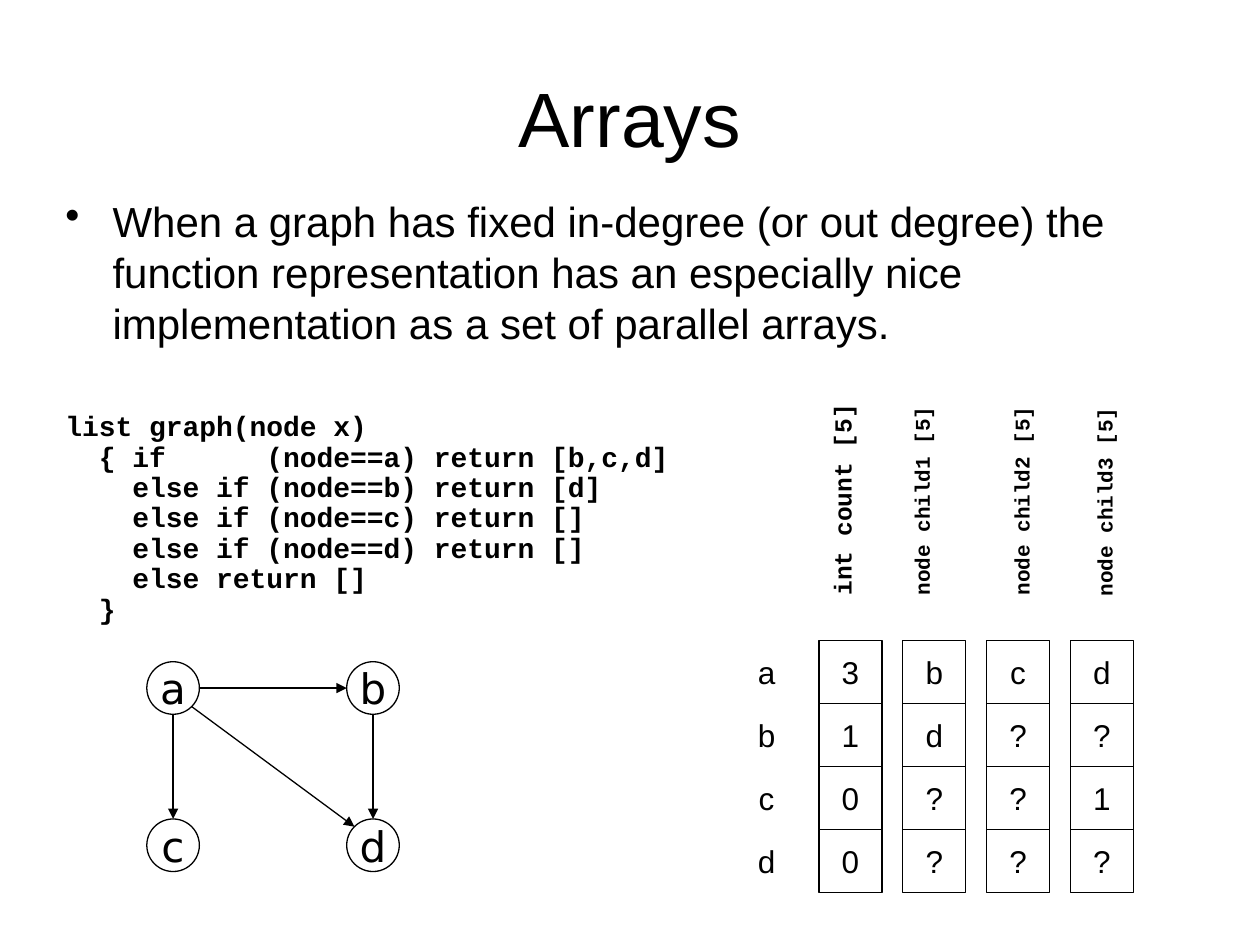
from math import hypot

from lxml import etree
from pptx import Presentation
from pptx.dml.color import RGBColor
from pptx.enum.shapes import MSO_CONNECTOR, MSO_SHAPE
from pptx.enum.text import MSO_ANCHOR, PP_ALIGN
from pptx.oxml.ns import qn
from pptx.util import Cm, Pt

CENTER, LEFT = PP_ALIGN.CENTER, PP_ALIGN.LEFT
MIDDLE, TOP = MSO_ANCHOR.MIDDLE, MSO_ANCHOR.TOP
OVAL, RECTANGLE = MSO_SHAPE.OVAL, MSO_SHAPE.RECTANGLE
STRAIGHT = MSO_CONNECTOR.STRAIGHT

BLACK, WHITE = "000000", "FFFFFF"
SANS, MONO, NODE_FONT = "Arial", "Courier New", "DejaVu Sans"

TITLE = "Arrays"
STATEMENT = (
    "When a graph has fixed in-degree (or out degree) the function representation "
    "has an especially nice implementation as a set of parallel arrays."
)
CODE = """list graph(node x)
  { if      (node==a) return [b,c,d]
    else if (node==b) return [d]
    else if (node==c) return []
    else if (node==d) return []
    else return []
  }"""

# Node name: (column, row) in the drawn graph
NODES = {"a": (0, 0), "b": (1, 0), "c": (0, 1), "d": (1, 1)}
EDGES = [("a", "d"), ("a", "b"), ("a", "c"), ("b", "d")]
NODE_LEFT, NODE_TOP, NODE_SIZE = 2.96, 13.34, 1.06
NODE_STEP_X, NODE_STEP_Y = 4.03, 3.17

# First column names the rows, the others are the parallel arrays
COLUMNS = ["abcd", "3100", "bd??", "c???", "d?1?"]
GRID_LEFT, GRID_TOP, CELL, COLUMN_STEP = 14.82, 12.91, 1.27, 1.69

# Text, centre x, centre y, length, height, font size
ARRAY_NAMES = [
    ("int count [5]", 16.98, 9.73, 5.05, 0.86, 14),
    ("node child1 [5]", 18.58, 9.93, 4.65, 0.76, 12),
    ("node child2 [5]", 20.59, 9.93, 4.65, 0.76, 12),
    ("node child3 [5]", 22.26, 9.95, 4.65, 0.76, 12),
]


def color(value):
    return RGBColor.from_string(value)


def write(shape, text, font, size, align=LEFT, anchor=TOP, bold=False, wrap=True):
    frame = shape.text_frame
    frame.text = text
    frame.word_wrap = wrap
    frame.vertical_anchor = anchor
    for paragraph in frame.paragraphs:
        paragraph.alignment = align
        for span in paragraph.runs:
            span.font.name, span.font.size = font, Pt(size)
            span.font.bold = bold
            span.font.color.rgb = color(BLACK)
    return frame.paragraphs


def add_box(page, left, top, width, height):
    return page.shapes.add_textbox(Cm(left), Cm(top), Cm(width), Cm(height))


def add_outlined(page, kind, left, top, size, fill=None):
    shape = page.shapes.add_shape(kind, Cm(left), Cm(top), Cm(size), Cm(size))
    shape.shadow.inherit = False
    if fill:
        shape.fill.solid()
        shape.fill.fore_color.rgb = color(fill)
    else:
        shape.fill.background()
    shape.line.color.rgb = color(BLACK)
    shape.line.width = Pt(0.75)
    return shape


def node_center(name):
    column, row = NODES[name]
    return (NODE_LEFT + column * NODE_STEP_X + NODE_SIZE / 2,
            NODE_TOP + row * NODE_STEP_Y + NODE_SIZE / 2)


def add_edge(page, source, target):
    """Draw an arrow between node rims, leaving at a multiple of 45 degrees."""
    (x1, y1), (x2, y2) = node_center(source), node_center(target)
    step_x, step_y = (x2 > x1) - (x2 < x1), (y2 > y1) - (y2 < y1)
    reach = NODE_SIZE / 2 / hypot(step_x, step_y)
    dx, dy = step_x * reach, step_y * reach
    arrow = page.shapes.add_connector(
        STRAIGHT, Cm(x1 + dx), Cm(y1 + dy), Cm(x2 - dx), Cm(y2 - dy))
    arrow.line.color.rgb = color(BLACK)
    arrow.line.width = Pt(0.75)
    etree.SubElement(arrow.line._get_or_add_ln(), qn("a:tailEnd"), type="triangle")
    etree.SubElement(arrow._element.spPr, qn("a:effectLst"))


def add_text(page):
    title = page.shapes.title
    title.left, title.top, title.width, title.height = Cm(1.27), Cm(0.76), Cm(22.86), Cm(3.18)
    write(title, TITLE, SANS, 44, CENTER, MIDDLE)

    statement = add_box(page, 1.07, 3.81, 22.86, 3.5)
    paragraph = write(statement, STATEMENT, SANS, 24)[0]
    paragraph.line_spacing = Pt(29.1)
    properties = paragraph._p.get_or_add_pPr()
    properties.set("marL", str(Cm(0.95)))
    properties.set("indent", str(-Cm(0.95)))
    etree.SubElement(properties, qn("a:buChar"), char="•")

    code = add_box(page, 1.07, 8.18, 13.5, 4.6)
    for paragraph in write(code, CODE, MONO, 16, bold=True):
        paragraph.line_spacing = Pt(17.4)


def add_graph(page):
    for name, (column, row) in NODES.items():
        node = add_outlined(page, OVAL, NODE_LEFT + column * NODE_STEP_X,
                            NODE_TOP + row * NODE_STEP_Y, NODE_SIZE, WHITE)
        write(node, name, NODE_FONT, 24, CENTER, MIDDLE, wrap=False)
    for source, target in EDGES:
        add_edge(page, source, target)


def add_arrays(page):
    for column, values in enumerate(COLUMNS):
        left = GRID_LEFT + column * COLUMN_STEP
        for row, value in enumerate(values):
            top = GRID_TOP + row * CELL
            if column == 0:
                cell = add_box(page, left, top, CELL, CELL)
            else:
                cell = add_outlined(page, RECTANGLE, left, top, CELL)
            write(cell, value, SANS, 18, CENTER, MIDDLE, wrap=False)
    for text, x, y, length, height, size in ARRAY_NAMES:
        label = add_box(page, x - length / 2, y - height / 2, length, height)
        label.rotation = 270
        write(label, text, MONO, size, bold=True)


def main():
    deck = Presentation()
    deck.slide_width, deck.slide_height = Cm(25.4), Cm(19.05)
    page = deck.slides.add_slide(deck.slide_layouts[5])
    add_text(page)
    add_graph(page)
    add_arrays(page)
    deck.save("out.pptx")


if __name__ == "__main__":
    main()
